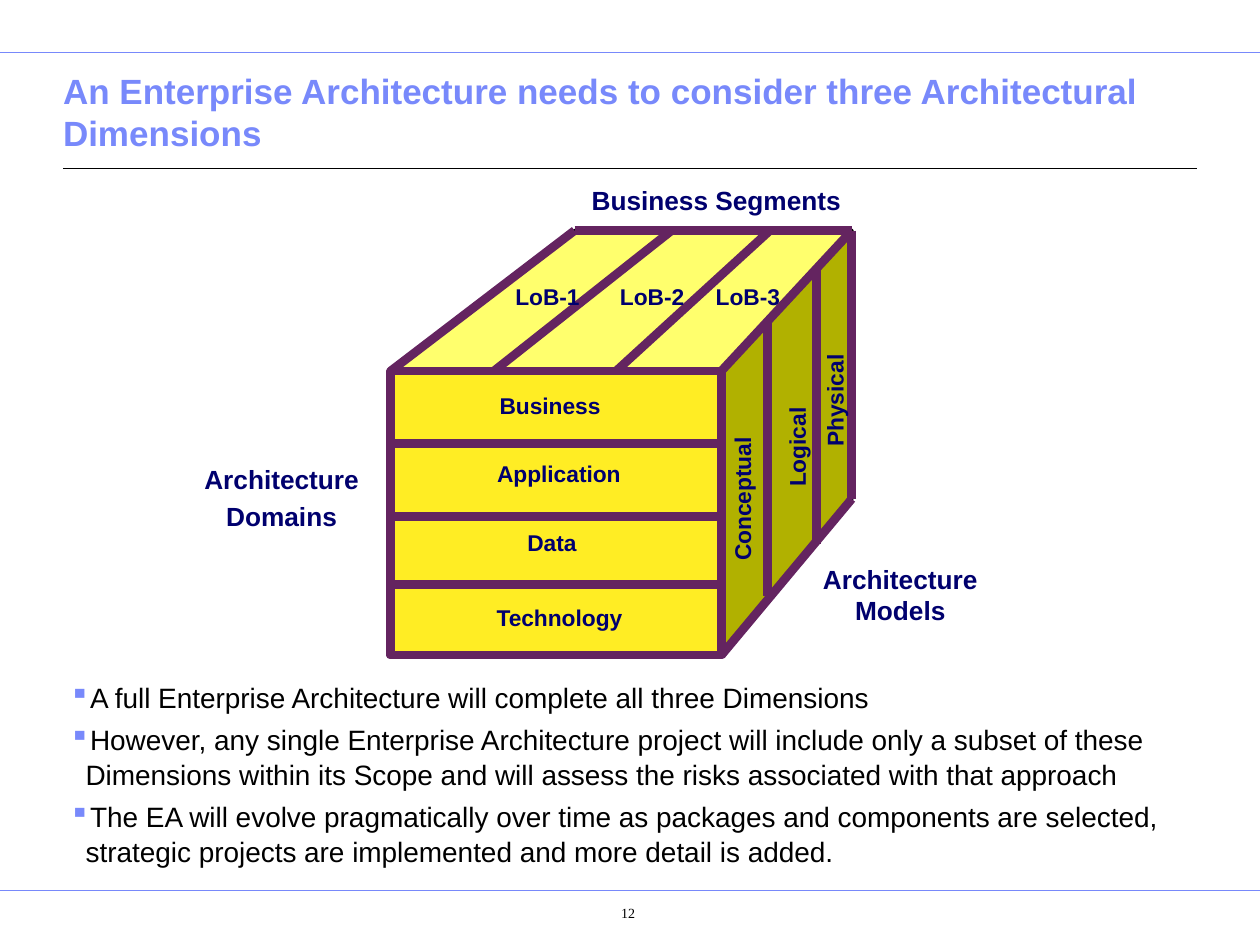
from pptx import Presentation
from pptx.dml.color import RGBColor
from pptx.enum.shapes import MSO_CONNECTOR, MSO_SHAPE
from pptx.enum.text import MSO_ANCHOR, MSO_AUTO_SIZE, PP_ALIGN
from pptx.oxml.ns import qn
from pptx.util import Inches, Pt
from lxml import etree

STRAIGHT, RECTANGLE = MSO_CONNECTOR.STRAIGHT, MSO_SHAPE.RECTANGLE
LEFT, CENTER = PP_ALIGN.LEFT, PP_ALIGN.CENTER
TOP, MIDDLE, BOTTOM = MSO_ANCHOR.TOP, MSO_ANCHOR.MIDDLE, MSO_ANCHOR.BOTTOM
NO_FIT = MSO_AUTO_SIZE.NONE

# The slide is a grid of 100 columns by 75 rows
WIDTH, HEIGHT = Inches(10), Inches(7.5)
COLUMNS = 100
CELL = WIDTH / COLUMNS

COLORS = {
    "accent": "7889FB", "text": "000000", "label": "00006E", "edge": "642460",
    "front": "FFED24", "top": "FFFF6D", "side": "B1B100",
}
FORMATS = {
    "title": {"name": "Arial", "size": Pt(20), "bold": True},
    "axis": {"name": "Arial", "size": Pt(15), "bold": True},
    "part": {"name": "Arial", "size": Pt(13), "bold": True},
    "bullet": {"name": "Arial", "size": Pt(16), "bold": False},
    "number": {"name": "Times New Roman", "size": Pt(8), "bold": False},
}

# Cube corners as (column, row)
FRONT_LEFT, FRONT_RIGHT, FRONT_TOP, FRONT_BOTTOM = 31, 57.25, 29.45, 52
BACK_LEFT, BACK_RIGHT, BACK_TOP, BACK_BOTTOM = 45.6, 67.6, 18.3, 39.6

EDGES = [
    ((FRONT_LEFT, FRONT_TOP), (BACK_LEFT, BACK_TOP)),
    ((39.2, FRONT_TOP), (53.3, BACK_TOP)),
    ((48.9, FRONT_TOP), (61.1, BACK_TOP)),
    ((FRONT_RIGHT, FRONT_TOP), (BACK_RIGHT, BACK_TOP)),
    ((BACK_LEFT, BACK_TOP), (BACK_RIGHT, BACK_TOP)),
    ((60.9, 25.5), (60.9, 47.3)),
    ((64.8, 21.2), (64.8, 43.2)),
    ((BACK_RIGHT, BACK_TOP), (BACK_RIGHT, BACK_BOTTOM)),
    ((FRONT_RIGHT, FRONT_BOTTOM), (BACK_RIGHT, BACK_BOTTOM)),
]
# Text, centre column, top row
DOMAINS = [("Business", 43.65, 31.1), ("Application", 44.35, 36.5),
           ("Data", 43.8, 42), ("Technology", 44.4, 47.9)]
# Text, left column
SEGMENTS = [("LoB-1", 40.9), ("LoB-2", 49.2), ("LoB-3", 56.8)]
# Text, left column, top row, width before turning
MODELS = [("Conceptual", 51.9, 36.4, 14), ("Logical", 59.7, 34, 7.1),
          ("Physical", 61.9, 30, 8.7)]
# Lines of text, box
AXES = [(["Business Segments"], (43.5, 14.6, 26.7, 2.5)),
        (["Architecture Models"], (62.9, 44.7, 17.1, 5)),
        (["Architecture", "Domains"], (15.5, 36.8, 13.7, 5.4))]
BULLETS = [
    "A full Enterprise Architecture will complete all three Dimensions",
    "However, any single Enterprise Architecture project will include only a subset "
    "of these Dimensions within its Scope and will assess the risks associated with "
    "that approach",
    "The EA will evolve pragmatically over time as packages and components are "
    "selected, strategic projects are implemented and more detail is added.",
]


def cells(*counts):
    return [round(count * CELL) for count in counts]


def rgb(color):
    return RGBColor.from_string(COLORS[color])


def style_paragraph(paragraph, format_name, color, align):
    paragraph.alignment = align
    for attribute, value in FORMATS[format_name].items():
        setattr(paragraph.font, attribute, value)
    paragraph.font.color.rgb = rgb(color)


def style_frame(frame, anchor=TOP, margins=(0, 0, 0, 0)):
    frame.word_wrap = True
    frame.auto_size = NO_FIT
    frame.vertical_anchor = anchor
    sides = ("margin_left", "margin_top", "margin_right", "margin_bottom")
    for side, margin in zip(sides, cells(*margins)):
        setattr(frame, side, margin)


def add_label(slide, lines, box, format_name="part", color="label",
              align=CENTER, anchor=TOP, turn=0):
    label = slide.shapes.add_textbox(*cells(*box))
    label.rotation = turn
    style_frame(label.text_frame, anchor)
    label.text_frame.text = "\n".join(lines)
    for paragraph in label.text_frame.paragraphs:
        style_paragraph(paragraph, format_name, color, align)
        paragraph.space_after = Pt(2.8)


def add_line(slide, start, end, color="edge", weight=5):
    line = slide.shapes.add_connector(STRAIGHT, *cells(*start, *end))
    line.line.color.rgb = rgb(color)
    line.line.width = Pt(weight)
    etree.SubElement(line._element.spPr, qn("a:effectLst"))


def add_face(slide, corners, fill):
    start, *others = [cells(*corner) for corner in corners]
    outline = slide.shapes.build_freeform(*start)
    outline.add_line_segments(others, close=True)
    face = outline.convert_to_shape()
    face.shadow.inherit = False
    face.fill.solid()
    face.fill.fore_color.rgb = rgb(fill)
    face.line.color.rgb = rgb("text")
    face.line.width = Pt(2)


def add_front(slide, top, bottom, fill=None):
    front = slide.shapes.add_shape(
        RECTANGLE, *cells(FRONT_LEFT, top, FRONT_RIGHT - FRONT_LEFT, bottom - top))
    front.shadow.inherit = False
    if fill:
        front.fill.solid()
        front.fill.fore_color.rgb = rgb(fill)
    else:
        front.fill.background()
    front.line.color.rgb = rgb("edge")
    front.line.width = Pt(5)


def add_title(slide, text):
    title = slide.shapes.title
    title.left, title.top, title.width, title.height = cells(5, 6.4, 90, 6.3)
    style_frame(title.text_frame, BOTTOM, (0, 0.5, 0, 0.5))
    title.text_frame.text = text
    style_paragraph(title.text_frame.paragraphs[0], "title", "accent", LEFT)


def add_bullets(slide, items, box):
    frame = slide.shapes.add_textbox(*cells(*box)).text_frame
    style_frame(frame, margins=(0.5, 0.5, 0.5, 0.5))
    frame.text = "\n".join(items)
    for index, paragraph in enumerate(frame.paragraphs):
        properties = paragraph._p.get_or_add_pPr()
        indent, = cells(1.3)
        properties.set("marL", str(indent))
        properties.set("indent", str(-indent))
        bullet_color = etree.SubElement(properties, qn("a:buClr"))
        etree.SubElement(bullet_color, qn("a:srgbClr"), val=COLORS["accent"])
        etree.SubElement(properties, qn("a:buChar"), char="▪")
        paragraph.line_spacing = 1.04
        paragraph.space_before = Pt(4 if index else 0)
        style_paragraph(paragraph, "bullet", "text", LEFT)


def add_cube(slide):
    # Faces
    add_face(slide, [(BACK_RIGHT, BACK_TOP), (BACK_RIGHT, BACK_BOTTOM),
                     (FRONT_RIGHT, FRONT_BOTTOM), (FRONT_RIGHT, FRONT_TOP)], "side")
    add_face(slide, [(FRONT_RIGHT, FRONT_TOP), (BACK_RIGHT, BACK_TOP),
                     (BACK_LEFT, BACK_TOP), (FRONT_LEFT, FRONT_TOP)], "top")
    add_front(slide, FRONT_TOP, FRONT_BOTTOM, "front")
    # Bands of the front face and edges of the other two
    for top, bottom in [(35.2, 41), (46.4, FRONT_BOTTOM)]:
        add_front(slide, top, bottom)
    for start, end in EDGES:
        add_line(slide, start, end)
    # Names on the faces
    for domain, center, top in DOMAINS:
        add_label(slide, [domain], (center - 6, top, 12, 2.2))
    for segment, left in SEGMENTS:
        add_label(slide, [segment], (left, 22.4, 6.8, 2.2), align=LEFT)
    for model, left, top, width in MODELS:
        add_label(slide, [model], (left, top, width, 2.2), align=LEFT, turn=270)
    # Names of the dimensions
    for lines, box in AXES:
        add_label(slide, lines, box, "axis", anchor=MIDDLE)


def main():
    deck = Presentation()
    deck.slide_width, deck.slide_height = WIDTH, HEIGHT
    slide = deck.slides.add_slide(deck.slide_layouts[5])

    # Rules across the page
    for row in (4.2, 70.7):
        add_line(slide, (0, row), (COLUMNS, row), "accent", 0.5)
    add_line(slide, (5, 13.4), (95, 13.4), "text", 0.75)

    add_title(slide, "An Enterprise Architecture needs to consider three "
                     "Architectural Dimensions")
    add_cube(slide)
    add_bullets(slide, BULLETS, (5, 53.4, 90, 16.1))
    add_label(slide, ["12"], (44.1, 71.8, 11.5, 2), "number", "text")
    deck.save("out.pptx")


if __name__ == "__main__":
    main()
